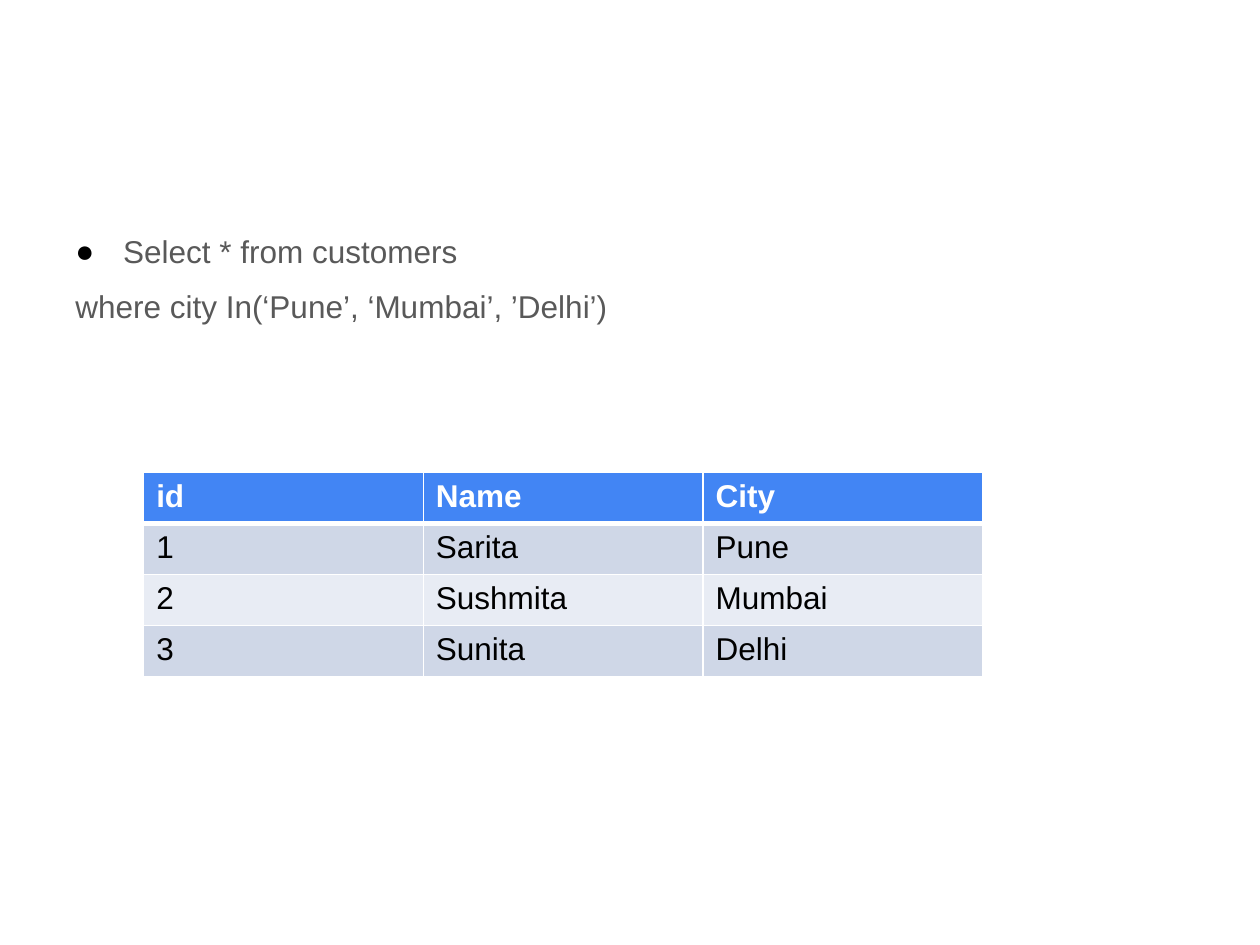
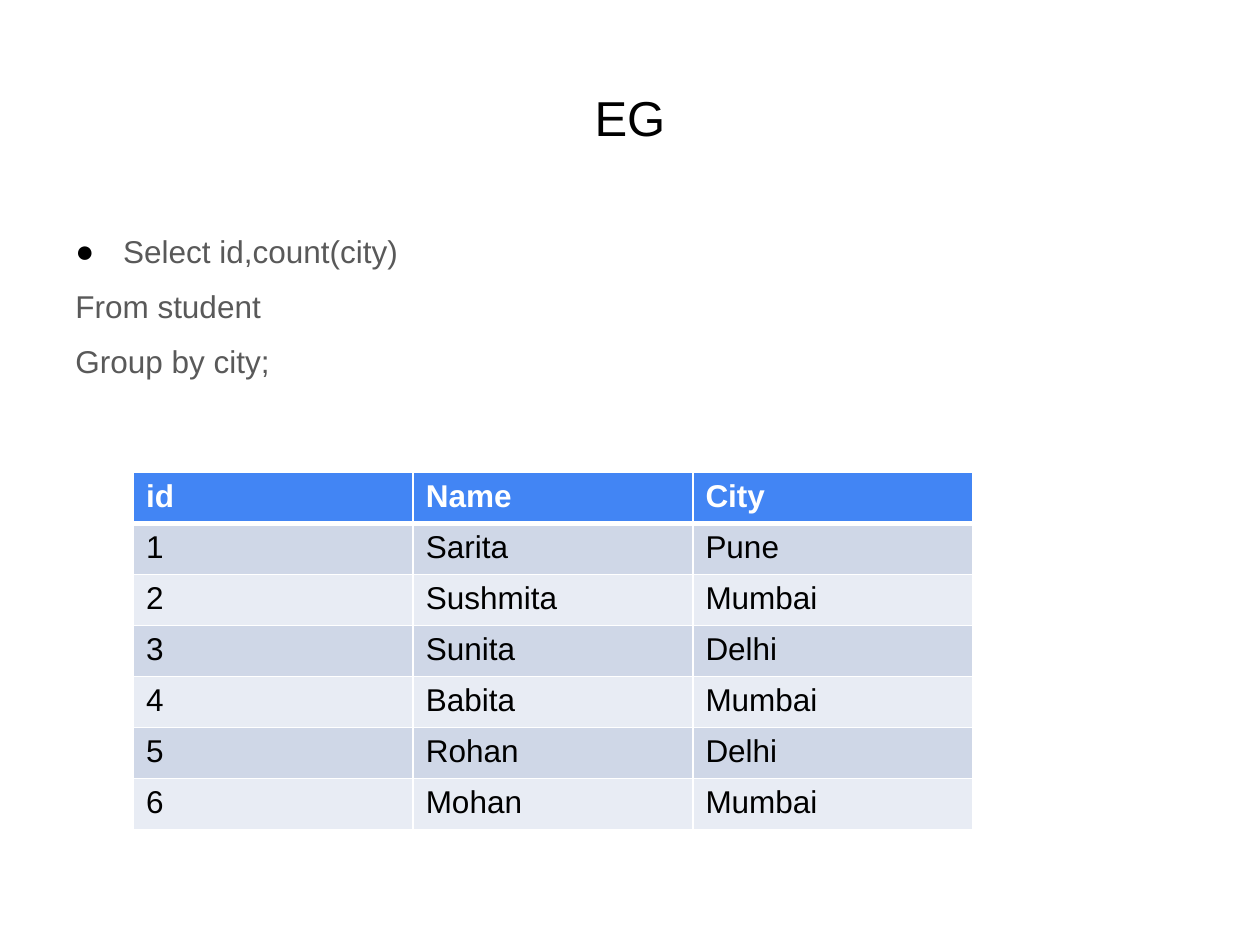
from lxml.etree import SubElement
from pptx import Presentation
from pptx.dml.color import RGBColor as Rgb
from pptx.enum.text import MSO_ANCHOR as Anchor, PP_ALIGN as Align
from pptx.oxml.ns import qn
from pptx.util import Inches, Pt

COLORS = {
    "title": "000000",
    "query": "595959",
    "header": "4285F4",
    "header_text": "FFFFFF",
    "cell_text": "000000",
    "band_odd": "CFD7E7",
    "band_even": "E8ECF4",
    "rule": "FFFFFF",
    "bullet": "000000",
}
FONT = "Arial"
COLUMN_WIDTH = 2.22
ROW_HEIGHT = 0.81 / 2
TABLE_TOP = 3.75
HEADINGS = ("id", "Name", "City")
PEOPLE = [
    ("1", "Sarita", "Pune"),
    ("2", "Sushmita", "Mumbai"),
    ("3", "Sunita", "Delhi"),
    ("4", "Babita", "Mumbai"),
    ("5", "Rohan", "Delhi"),
    ("6", "Mohan", "Mumbai"),
]
EXAMPLES = [
    {
        "title": None,
        "query": ["Select * from customers", "where city In(‘Pune’, ‘Mumbai’, ’Delhi’)"],
        "people": PEOPLE[:3],
        "table_left": 1.14,
    },
    {
        "title": "EG",
        "query": ["Select id,count(city)", "From student", "Group by city;"],
        "people": PEOPLE,
        "table_left": 1.06,
    },
]


def write(frame, lines, color, size=18, bold=False, align=None, spacing=None, gap=0, bullet=False):
    frame.word_wrap = True
    for index, line in enumerate(lines):
        paragraph = frame.paragraphs[0] if index == 0 else frame.add_paragraph()
        if bullet and index == 0:
            props = paragraph._p.get_or_add_pPr()
            props.set("marL", str(Inches(0.38)))
            props.set("indent", str(-Inches(0.38)))
            SubElement(SubElement(props, qn("a:buClr")), qn("a:srgbClr"), val=COLORS["bullet"])
            SubElement(props, qn("a:buFont"), typeface=FONT)
            SubElement(props, qn("a:buChar"), char="●")
        if align is not None:
            paragraph.alignment = align
        if spacing:
            paragraph.line_spacing = spacing
        if index and gap:
            paragraph.space_before = Pt(gap)
        run = paragraph.add_run()
        run.text = line
        run.font.name = FONT
        run.font.size = Pt(size)
        run.font.bold = bold
        run.font.color.rgb = Rgb.from_string(COLORS[color])


def rule_cell(cell, top, bottom):
    props = cell._tc.get_or_add_tcPr()
    for side, width in (("L", 1), ("R", 1), ("T", top), ("B", bottom)):
        line = SubElement(props, qn(f"a:ln{side}"), w=str(Pt(width)))
        SubElement(SubElement(line, qn("a:solidFill")), qn("a:srgbClr"), val=COLORS["rule"])


deck = Presentation()
deck.slide_width = Inches(10)
deck.slide_height = Inches(7.5)

for example in EXAMPLES:
    slide = deck.slides.add_slide(deck.slide_layouts[6])

    if example["title"]:
        title = slide.shapes.add_textbox(Inches(0.5), Inches(0.3), Inches(9), Inches(1.25))
        title.text_frame.vertical_anchor = Anchor.MIDDLE
        write(title.text_frame, [example["title"]], "title", size=28, align=Align.CENTER)

    query = slide.shapes.add_textbox(Inches(0.5), Inches(1.75), Inches(9), Inches(4.95))
    write(query.text_frame, example["query"], "query", spacing=1.15, gap=6.4, bullet=True)

    records = [HEADINGS, *example["people"]]
    table = slide.shapes.add_table(
        len(records), len(HEADINGS),
        Inches(example["table_left"]), Inches(TABLE_TOP),
        Inches(COLUMN_WIDTH * len(HEADINGS)), Inches(ROW_HEIGHT * len(records)),
    ).table
    for row, record in enumerate(records):
        is_header = row == 0
        band = "header" if is_header else "band_odd" if row % 2 else "band_even"
        for column, value in enumerate(record):
            cell = table.cell(row, column)
            rule_cell(cell, top=3 if row == 1 else 1, bottom=3 if is_header else 1)
            cell.fill.solid()
            cell.fill.fore_color.rgb = Rgb.from_string(COLORS[band])
            write(cell.text_frame, [value], "header_text" if is_header else "cell_text", bold=is_header)

deck.save("out.pptx")
